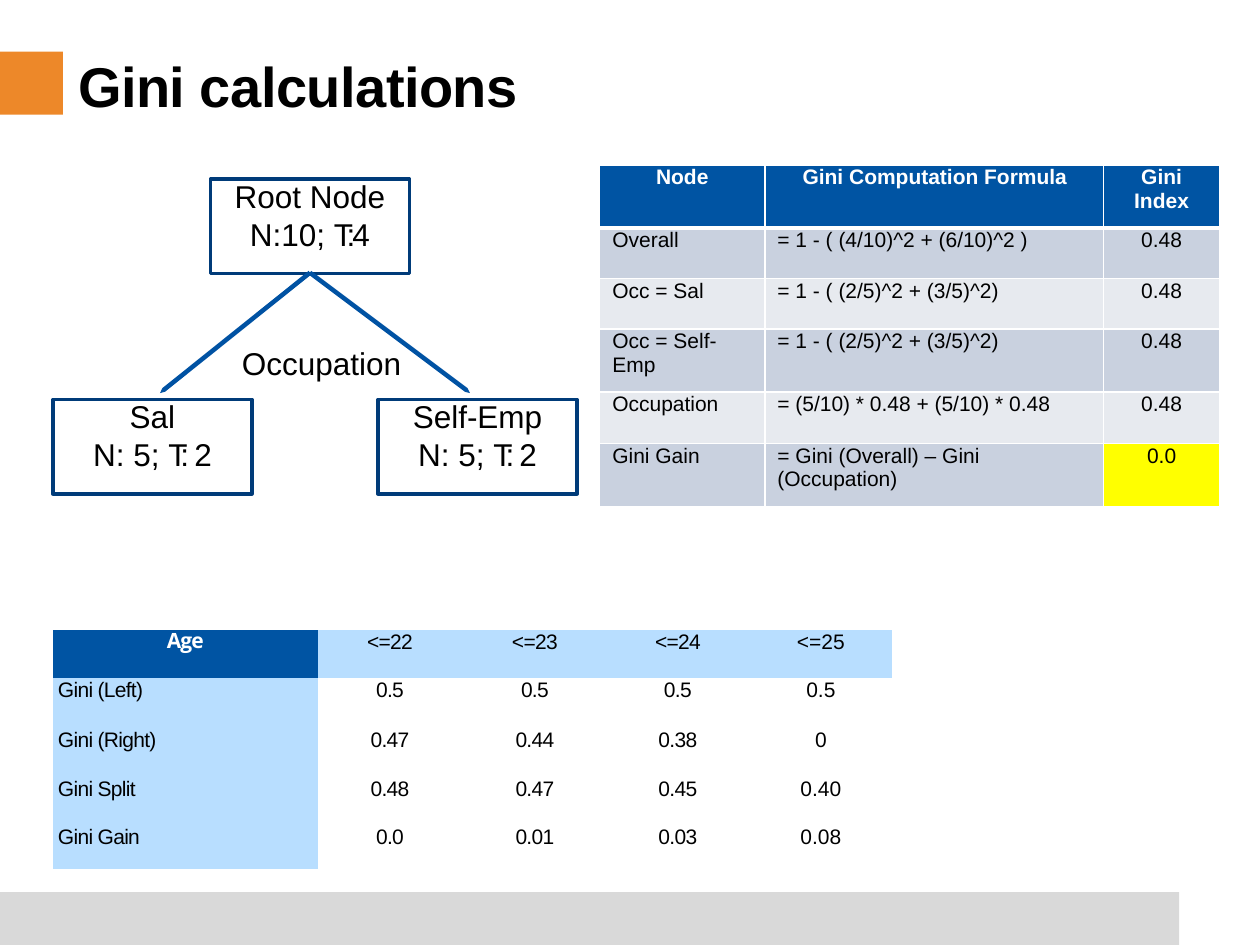
from pptx import Presentation
from pptx.dml.color import RGBColor
from pptx.enum.shapes import MSO_SHAPE as Kind
from pptx.enum.text import MSO_ANCHOR as Anchor, PP_ALIGN as Align
from pptx.oxml import parse_xml
from pptx.oxml.ns import nsdecls, qn
from pptx.util import Inches, Pt

NAVY, BLUE, SKY, GREY, PALE = "003B79", "0054A3", "B8DEFF", "C9D1DF", "E7EAEF"
PLAIN = "{2D5ABB26-0587-4C30-8999-92F81FD0307C}"


def paint(fill, color):
    """Make a fill solid in a colour given as a hex string."""
    fill.solid()
    fill.fore_color.rgb = RGBColor.from_string(color)


def write(para, runs, size, color="000000", bold=False, font="Arial"):
    """Add (text, spacing) runs to a paragraph."""
    for text, gap in runs:
        run = para.add_run()
        run.text = text
        run.font.size, run.font.bold, run.font.name = Pt(size), bold, font
        paint(run.font.fill, color)
        if gap:
            run._r.get_or_add_rPr().set("spc", str(round(gap * 100)))


def frame(shape, top=0):
    """Return the text frame with its margins cleared."""
    text = shape.text_frame
    text.margin_left = text.margin_right = text.margin_bottom = 0
    text.margin_top, text.word_wrap = Inches(top), True
    text.vertical_anchor = Anchor.TOP
    return text


def block(slide, x, y, w, h, color):
    """Draw a flat rectangle."""
    shape = slide.shapes.add_shape(Kind.RECTANGLE, *map(Inches, (x, y, w, h)))
    shape.shadow.inherit = False
    paint(shape.fill, color)
    shape.line.fill.background()


def label(slide, x, y, w, h, runs, size, bold=False):
    """Place one line of free text."""
    box = slide.shapes.add_textbox(*map(Inches, (x, y, w, h)))
    para = frame(box, 0.01).paragraphs[0]
    para.space_before = Pt(1)
    write(para, runs, size, bold=bold)


def node(slide, x, y, name, stats):
    """Draw a tree node with its name and counts."""
    box = slide.shapes.add_shape(Kind.RECTANGLE, *map(Inches, (x, y, 1.58, 0.75)))
    box.shadow.inherit = False
    box.fill.background()
    paint(box.line.fill, NAVY)
    box.line.width = Pt(2)
    text = frame(box)
    for i, runs in enumerate(([(name, 0)], stats)):
        para = text.add_paragraph() if i else text.paragraphs[0]
        para.alignment = Align.CENTER
        if not i:
            para.line_spacing = Pt(20.5)
        write(para, runs, 18)


def branch(slide, x, y, w, side):
    """Draw a tapered branch going down to one side."""
    dots = [(-0.02, 0.03), (w - 0.04, 0.96), (w, 0.97), (w - 0.02, 0.93), (0, 0)]
    ends = [(Inches(x + side * a), Inches(y + b)) for a, b in dots]
    pen = slide.shapes.build_freeform(*ends[0])
    pen.add_line_segments(ends[1:], close=True)
    shape = pen.convert_to_shape()
    shape.shadow.inherit = False
    paint(shape.fill, "0052A3")
    shape.line.fill.background()


def tree(slide, x, y):
    """Draw the split of the root node by occupation."""
    half = [("N: 5; ", 0), ("T: ", -2.1), ("2", -0.1)]
    node(slide, x + 1.25, y, "Root Node", [("N:10; ", 0), ("T:4", -1.7)])
    node(slide, x, y + 1.75, "Sal", half)
    node(slide, x + 2.58, y + 1.75, "Self-Emp", half)
    branch(slide, x + 2.03, y + 0.73, 1.18, -1)
    branch(slide, x + 2.05, y + 0.73, 1.26, 1)
    label(slide, x + 1.5, y + 1.3, 1.3, 0.33, [("Occupation", 0)], 18)


def edge(cell, top, bottom):
    """Add white borders to a cell."""
    prop = cell._tc.get_or_add_tcPr()
    for i, (side, wide) in enumerate(zip("LRTB", (1, 1, top, bottom))):
        prop.insert(i, parse_xml(
            f'<a:ln{side} {nsdecls("a")} w="{wide * 12700}"><a:solidFill>'
            f'<a:srgbClr val="FFFFFF"/></a:solidFill></a:ln{side}>'))


def grid(slide, x, y, cols, rows):
    """Add an unstyled table with the given column and row sizes."""
    size = (x, y, sum(cols), sum(rows))
    table = slide.shapes.add_table(len(rows), len(cols), *map(Inches, size)).table
    table.first_row = table.horz_banding = False
    table._tbl.tblPr.find(qn("a:tableStyleId")).text = PLAIN
    for part, wide in zip(table.columns, cols):
        part.width = Inches(wide)
    for part, high in zip(table.rows, rows):
        part.height = Inches(high)
    return table


def enter(cell, lines, tint, left=None, shift=0, top=0, gap=0, **look):
    """Fill a cell, centred unless a left indent is given."""
    cell.margin_left = cell.margin_right = cell.margin_bottom = 0
    cell.margin_top = Inches(top)
    if tint:
        paint(cell.fill, tint)
    else:
        cell.fill.background()
    text = cell.text_frame
    for i, line in enumerate(lines.split("\n")):
        para = text.add_paragraph() if i else text.paragraphs[0]
        para.alignment = Align.CENTER if left is None else Align.LEFT
        inset = Inches(shift if left is None else left)
        para._p.get_or_add_pPr().set("marL", str(inset))
        if not i and not top:
            para.line_spacing = Pt(13.8)
        write(para, [(line, gap)], 12, **look)


def formulas(slide, x, y):
    """Build the table of Gini formulas."""
    data = [
        ("Node", "Gini Computation Formula", "Gini\nIndex"),
        ("Overall", "= 1 - ( (4/10)^2 + (6/10)^2 )", "0.48"),
        ("Occ = Sal", "= 1 - ( (2/5)^2 + (3/5)^2)", "0.48"),
        ("Occ = Self-\nEmp", "= 1 - ( (2/5)^2 + (3/5)^2)", "0.48"),
        ("Occupation", "= (5/10) * 0.48 + (5/10) * 0.48", "0.48"),
        ("Gini Gain", "= Gini (Overall) – Gini\n(Occupation)", "0.0"),
    ]
    table = grid(slide, x, y, (1.31, 2.69, 0.92), (0.5, 0.4, 0.4, 0.5, 0.41, 0.5))
    for r, row in enumerate(data):
        for c, text in enumerate(row):
            cell = table.cell(r, c)
            if r:
                tint = "FFFF00" if (r, c) == (5, 2) else GREY if r % 2 else PALE
                enter(cell, text, tint, 0.1 if c < 2 else None)
            else:
                enter(cell, text, BLUE, 0.3 if c == 1 else None, color="FFFFFF", bold=True)
            edge(cell, 3 if r == 1 else 1, 1 if r else 3)


def ages(slide, x, y):
    """Build the table of Gini values by age split."""
    data = [
        ("Age", "<=22", "<=23", "<=24", "<=25"),
        ("Gini (Left)", "0.5", "0.5", "0.5", "0.5"),
        ("Gini (Right)", "0.47", "0.44", "0.38", "0"),
        ("Gini Split", "0.48", "0.47", "0.45", "0.40"),
        ("Gini Gain", "0.0", "0.01", "0.03", "0.08"),
    ]
    block(slide, x + 6.4, y, 0.26, 0.38, SKY)
    table = grid(slide, x, y, (2.1, 1.15, 1.15, 1.12, 0.9), (0.38, 0.3, 0.39, 0.38, 0.45))
    for r, row in enumerate(data):
        for c, text in enumerate(row):
            cell = table.cell(r, c)
            if r + c == 0:
                enter(cell, text, BLUE, gap=-0.5, color="FFFFFF", bold=True, font="Open Sans")
                continue
            enter(cell, text, None if r and c else SKY, None if c else 0.04,
                  0.25 if c == 4 else 0, 0.1 if r > 1 else 0, 0 if c == 4 else -0.4)


def build():
    """Compose and save the slide."""
    deck = Presentation()
    deck.slide_width, deck.slide_height = Inches(10), Inches(7.5)
    slide = deck.slides.add_slide(deck.slide_layouts[6])
    block(slide, 0, 7.08, 9.36, 0.42, "D9D9D9")
    block(slide, 0, 0.41, 0.5, 0.5, "ED8829")
    label(slide, 0.62, 0.4, 3.7, 0.56, [("Gini calculations", -0.3)], 32, True)
    tree(slide, 0.42, 1.42)
    formulas(slide, 4.76, 1.31)
    ages(slide, 0.42, 5)
    deck.save("out.pptx")


build()
